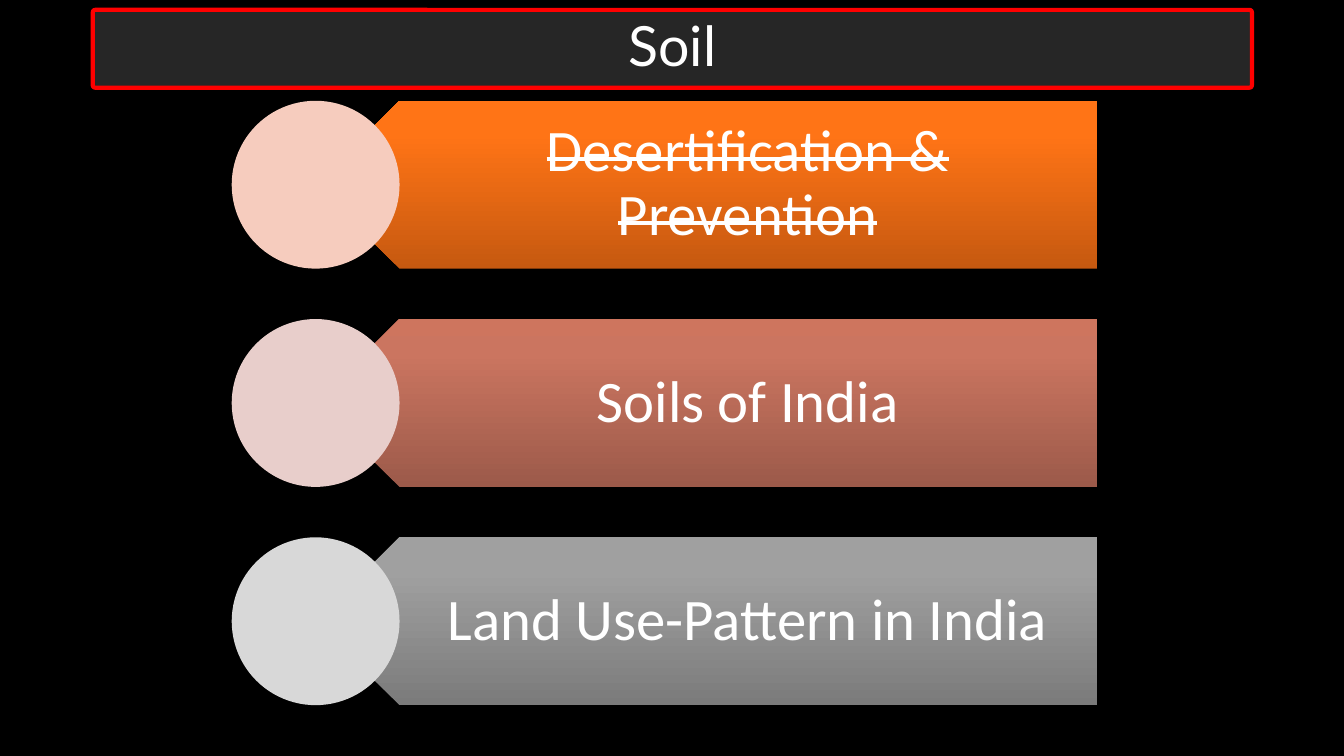
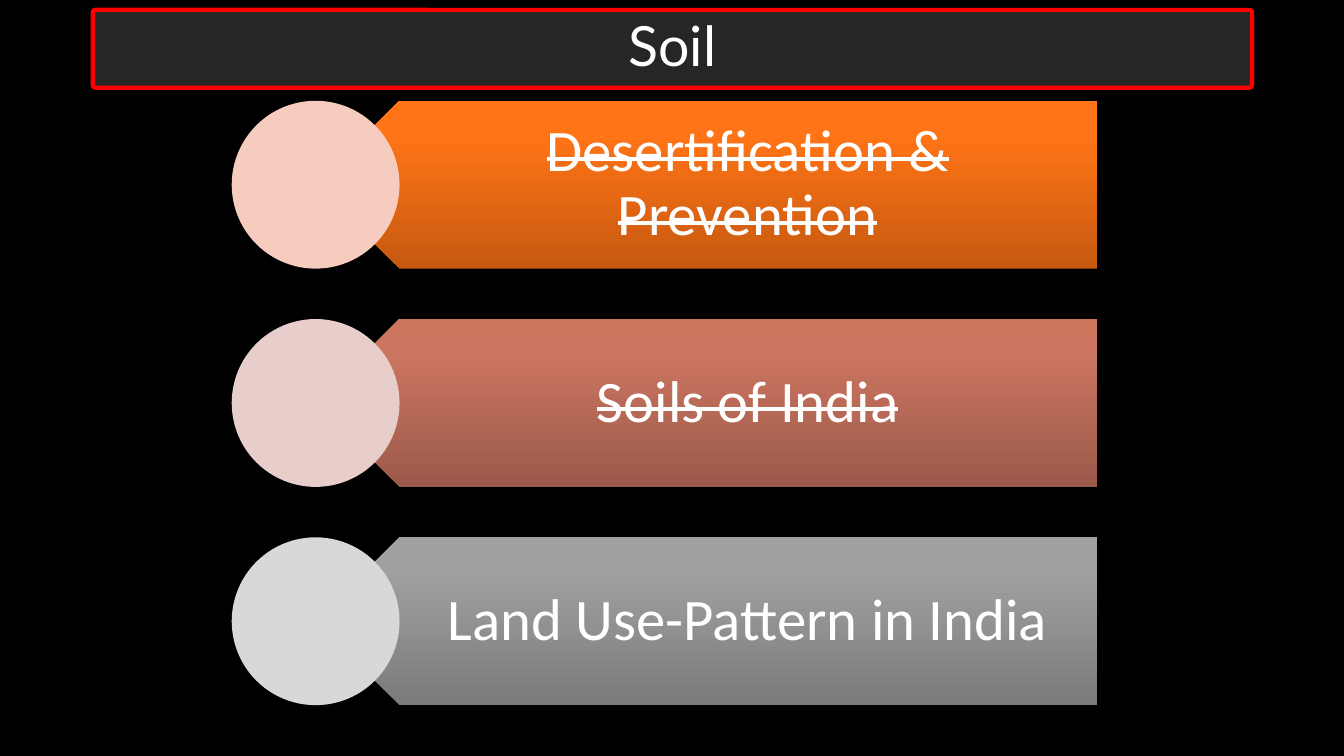
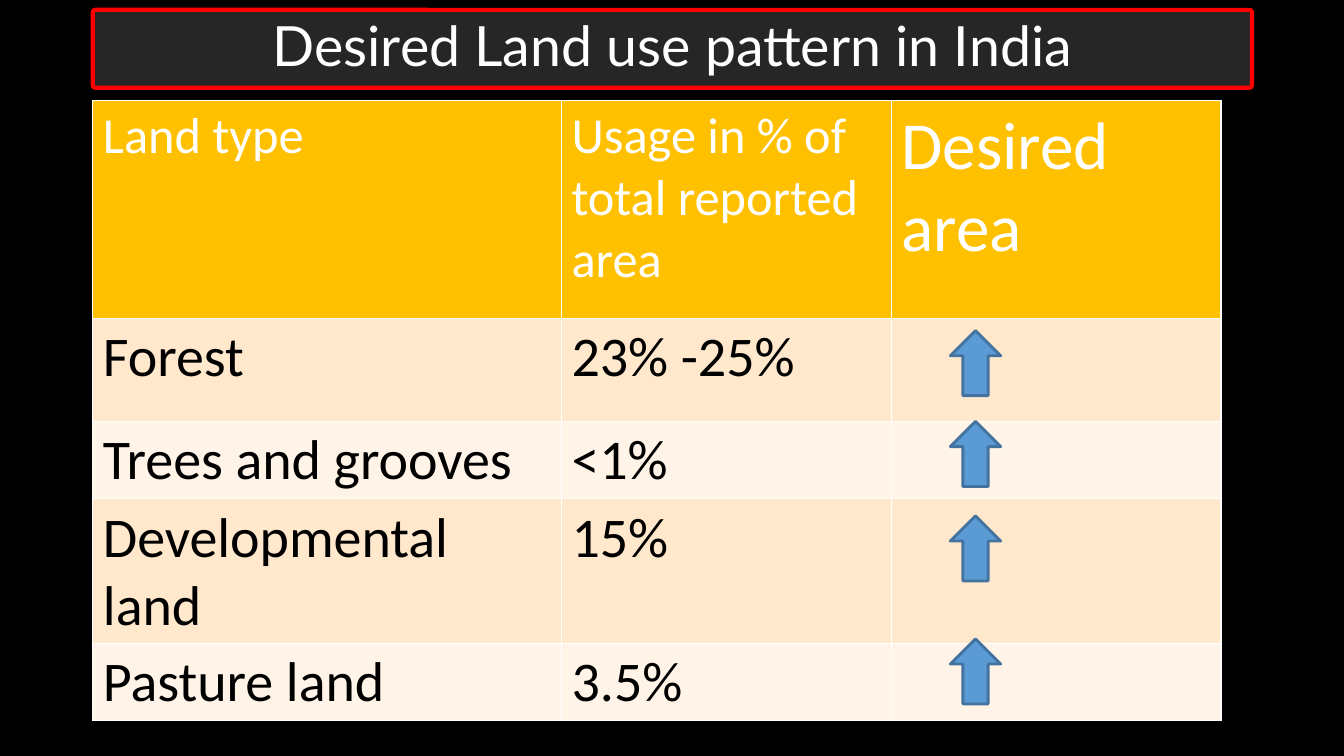
from copy import deepcopy
from pptx import Presentation
from pptx.dml.color import RGBColor
from pptx.enum.shapes import MSO_SHAPE
from pptx.enum.text import MSO_ANCHOR, PP_ALIGN
from pptx.oxml import parse_xml
from pptx.oxml.ns import nsdecls, qn
from pptx.util import Cm, Pt

# Content
TOPICS = ["Desertification & Prevention", "Soils of India", "Land Use-Pattern in India"]
TOPIC_SLIDES = [("Soil", 1), ("Soil", 2)]  # title, number of topics struck out
LAND_TITLE = "Desired Land use pattern in India"
LAND_ROWS = [
    ("Land type", "Usage in % of total reported area", "Desired area"),
    ("Forest", "23% -25%", ""),
    ("Trees and grooves", "<1%", ""),
    ("Developmental land", "15%", ""),
    ("Pasture land", "3.5%", ""),
]

# Style
COLORS = {
    "background": "000000", "text": "FFFFFF", "title_fill": "262626", "title_line": "FF0000",
    "header": "FFC000", "odd_row": "FFE8CC", "even_row": "FFF4E7", "body": "000000",
    "arrow": "5B9BD5", "arrow_line": "43739E",
}
TOPIC_COLORS = [  # gradient from dark to light, then circle
    (("C65910", "FF7416", "FF7517"), "F6CCBE"),
    (("9C5A4A", "CB7560", "CE755E"), "E8CECB"),
    (("7B7B7B", "A0A0A0", "A1A1A1"), "D8D8D8"),
]
GRADIENT_STOPS = (0, 0.8, 1)
TITLE_FONT, BODY_FONT = "Lato", "Calibri"

# Measures in centimetres
TOP = 2.54
CIRCLE_LEFT, CIRCLE_SIZE, TOPIC_PITCH = 5.84, 4.23, 5.5
BAND_WIDTH = 19.69
LABEL_LEFT, LABEL_WIDTH = 9.01, 18.62
LABEL_INSETS = (1.88, 0.43, 0.84, 0.43)
TABLE_LEFT = 2.34
COLUMN_WIDTHS = (11.81, 8.31, 8.31)
ROW_HEIGHTS = (5.49, 2.59, 1.83, 1.83, 1.83)
HEADER_SIZES, BODY_SIZE = (36, 36, 48), 40
ARROW_LEFT, ARROW_WIDTH, ARROW_HEIGHT = 23.95, 1.27, 1.64
ARROW_TOPS = (8.33, 10.62, 13.0, 16.1)


def rgb(value):
    return RGBColor.from_string(value)


def add_shape(page, kind, left, top, width, height, fill=None, line=None, weight=0):
    shape = page.shapes.add_shape(kind, Cm(left), Cm(top), Cm(width), Cm(height))
    shape.shadow.inherit = False
    if fill:
        shape.fill.solid()
        shape.fill.fore_color.rgb = rgb(fill)
    if line:
        shape.line.color.rgb = rgb(line)
        shape.line.width = Pt(weight)
    else:
        shape.line.fill.background()
    return shape


def write(frame, text, size, color, font=BODY_FONT):
    frame.text = text
    for span in frame.paragraphs[0].runs:
        span.font.size = Pt(size)
        span.font.name = font
        span.font.bold = False
        span.font.color.rgb = rgb(color)


def center(frame):
    frame.word_wrap = True
    frame.vertical_anchor = MSO_ANCHOR.MIDDLE
    frame.paragraphs[0].alignment = PP_ALIGN.CENTER
    frame.paragraphs[0].line_spacing = 0.9


def add_page(deck, title):
    page = deck.slides.add_slide(deck.slide_layouts[6])
    page.background.fill.solid()
    page.background.fill.fore_color.rgb = rgb(COLORS["background"])
    bar = add_shape(page, MSO_SHAPE.ROUNDED_RECTANGLE, 2.34, 0.25, 29.21, 1.96,
                    COLORS["title_fill"], COLORS["title_line"], 3)
    bar.adjustments[0] = 0.03
    write(bar.text_frame, title, 39.6, COLORS["text"], TITLE_FONT)
    center(bar.text_frame)
    return page


def fill_gradient(shape, colors):
    shape.fill.gradient()
    shape.fill.gradient_angle = 270
    stop_list = shape._element.spPr.find(".//" + qn("a:gsLst"))
    stop_list.append(deepcopy(stop_list[0]))
    for stop, color, position in zip(shape.fill.gradient_stops, colors, GRADIENT_STOPS):
        stop.color.rgb = rgb(color)
        stop.position = position


def add_topic(page, index, struck):
    top = TOP + index * TOPIC_PITCH
    band_colors, circle_color = TOPIC_COLORS[index]
    band = add_shape(page, MSO_SHAPE.PENTAGON, CIRCLE_LEFT + CIRCLE_SIZE / 2, top,
                     BAND_WIDTH, CIRCLE_SIZE)
    band.rotation = 180
    fill_gradient(band, band_colors)

    label = page.shapes.add_textbox(Cm(LABEL_LEFT), Cm(top), Cm(LABEL_WIDTH), Cm(CIRCLE_SIZE))
    frame = label.text_frame
    write(frame, TOPICS[index], 42, COLORS["text"])
    center(frame)
    (frame.margin_left, frame.margin_top,
     frame.margin_right, frame.margin_bottom) = map(Cm, LABEL_INSETS)
    if struck:
        frame.paragraphs[0].runs[0].font._element.set("strike", "sngStrike")

    add_shape(page, MSO_SHAPE.OVAL, CIRCLE_LEFT, top, CIRCLE_SIZE, CIRCLE_SIZE, circle_color)


def add_borders(cell, color):
    properties = cell._tc.get_or_add_tcPr()
    for position, side in enumerate(("lnL", "lnR", "lnT", "lnB")):
        properties.insert(position, parse_xml(
            f'<a:{side} {nsdecls("a")} w="12700"><a:solidFill>'
            f'<a:srgbClr val="{color}"/></a:solidFill></a:{side}>'))


def add_land_table(page):
    frame = page.shapes.add_table(len(LAND_ROWS), len(COLUMN_WIDTHS), Cm(TABLE_LEFT), Cm(TOP),
                                  Cm(sum(COLUMN_WIDTHS)), Cm(sum(ROW_HEIGHTS)))
    table = frame.table
    for column, width in zip(table.columns, COLUMN_WIDTHS):
        column.width = Cm(width)
    for row, height in zip(table.rows, ROW_HEIGHTS):
        row.height = Cm(height)
    for r, texts in enumerate(LAND_ROWS):
        fill = COLORS["header" if r == 0 else "odd_row" if r % 2 else "even_row"]
        for c, text in enumerate(texts):
            cell = table.cell(r, c)
            cell.fill.solid()
            cell.fill.fore_color.rgb = rgb(fill)
            add_borders(cell, COLORS["text"])
            if text:
                size = BODY_SIZE if r else HEADER_SIZES[c]
                write(cell.text_frame, text, size, COLORS["body" if r else "text"])


deck = Presentation()
deck.slide_width, deck.slide_height = Cm(33.87), Cm(19.05)

# Topic overviews
for title, struck_count in TOPIC_SLIDES:
    page = add_page(deck, title)
    for index in range(len(TOPICS)):
        add_topic(page, index, index < struck_count)

# Land use table with rising arrows
page = add_page(deck, LAND_TITLE)
add_land_table(page)
for top in ARROW_TOPS:
    add_shape(page, MSO_SHAPE.UP_ARROW, ARROW_LEFT, top, ARROW_WIDTH, ARROW_HEIGHT,
              COLORS["arrow"], COLORS["arrow_line"], 2)

deck.save("out.pptx")
